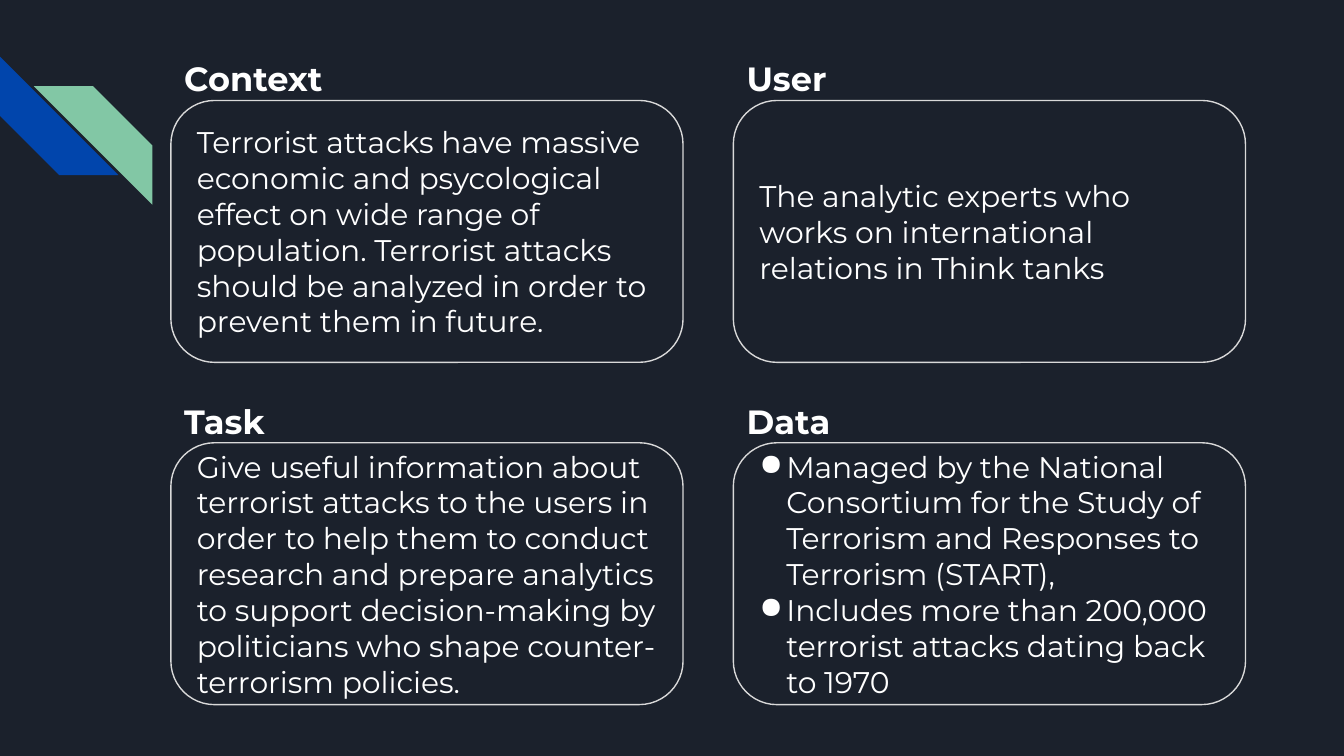
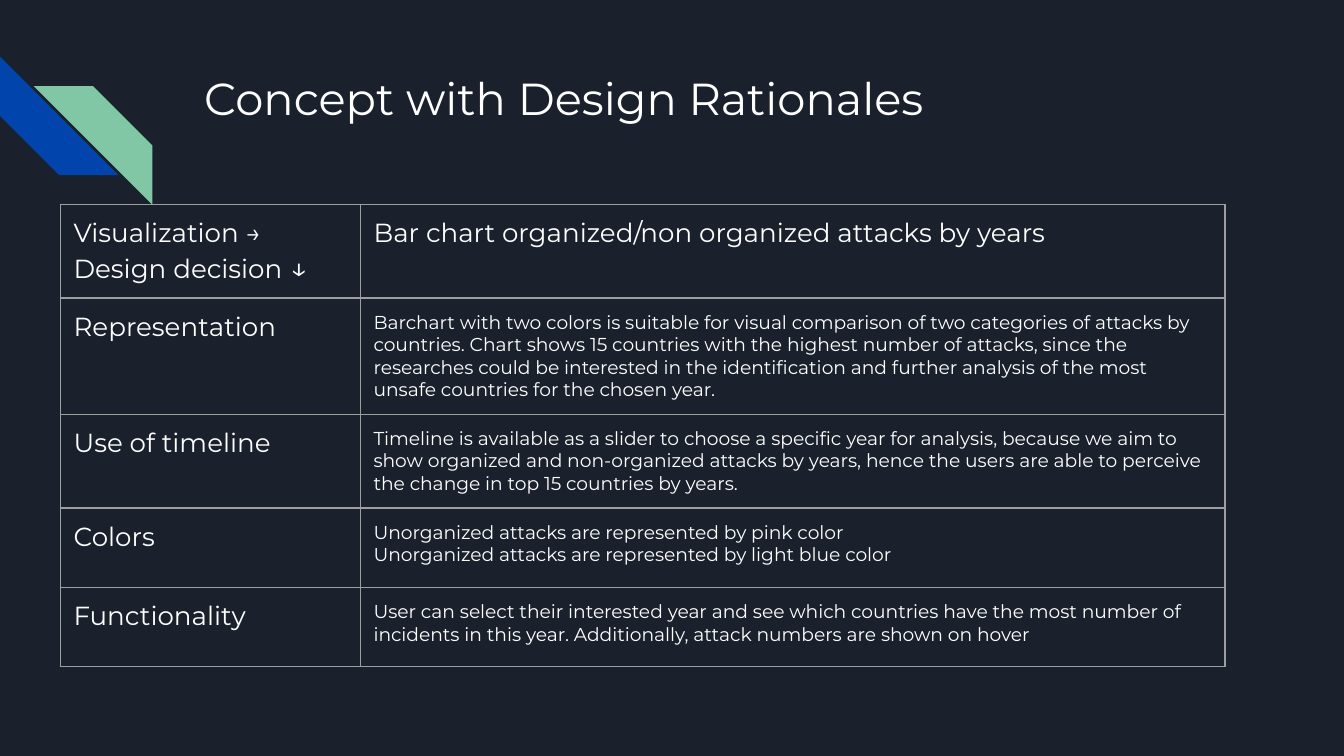
import pptx
import pptx.dml.color
import pptx.enum.shapes
import pptx.enum.text
import pptx.oxml
import pptx.oxml.ns
import pptx.util
from pptx.util import Cm

FONT = "Montserrat"
BACKGROUND, WHITE = "1B212C", "FFFFFF"
BLUE, GREEN = "0145AC", "82C7A5"
CARD_LINE, TABLE_LINE = "D9D9D9", "9E9E9E"
INSET = 0.25

CARD_LEFT, CARD_TOP = 3.23, 0.91
CARD_WIDTH, CARD_HEIGHT, HEADING_HEIGHT = 9.68, 4.95, 0.99
COLUMN_STEP, ROW_STEP = 10.63, 6.47

CARDS = [
    ("Context", ["Terrorist attacks have massive economic and psycological effect on wide range "
                 "of population. Terrorist attacks should be analyzed in order to prevent them "
                 "in future."]),
    ("User", ["The analytic experts who works on international relations in Think tanks"]),
    ("Task", ["Give useful information about terrorist attacks to the users in order to help "
              "them to conduct research and prepare analytics to support decision-making by "
              "politicians who shape counter-terrorism policies."]),
    ("Data", ["Managed by the National Consortium for the Study of Terrorism and Responses to "
              "Terrorism (START),",
              "Includes more than 200,000 terrorist attacks dating back to 1970"]),
]

COLUMN_WIDTHS = [5.67, 16.34]
ROW_HEIGHTS = [1.57, 1.5, 1.5, 1.5, 1.5]
RATIONALES = [
    ("Visualization →\nDesign decision ", "Bar chart organized/non organized attacks by years"),
    ("Representation",
     "Barchart with two colors is suitable for visual comparison of two categories of attacks "
     "by countries. Chart shows 15 countries with the highest number of attacks, since the "
     "researches could be interested in the identification and further analysis of the most "
     "unsafe countries for the chosen year."),
    ("Use of timeline",
     "Timeline is available as a slider to choose a specific year for analysis, because we aim "
     "to show organized and non-organized attacks by years, hence the users are able to "
     "perceive the change in top 15 countries by years."),
    ("Colors",
     "Unorganized attacks are represented by pink color\n"
     "Unorganized attacks are represented by light blue color"),
    ("Functionality",
     "User can select their interested year and see which countries have the most number of "
     "incidents in this year. Additionally, attack numbers are shown on hover"),
]


def color(value):
    """Turn a hex string into a color."""
    return pptx.dml.color.RGBColor.from_string(value)


def style_span(span, size, bold=False):
    """Give a run the deck's font in white."""
    span.font.name = FONT
    span.font.size = pptx.util.Pt(size)
    span.font.bold = bold
    span.font.color.rgb = color(WHITE)


def write(frame, text, size, bold=False):
    """Fill a text frame with left-aligned text, one paragraph per line."""
    frame.text = text
    for para in frame.paragraphs:
        para.alignment = pptx.enum.text.PP_ALIGN.LEFT
        for span in para.runs:
            style_span(span, size, bold)


def set_insets(holder):
    """Set equal margins on a text frame or a table cell."""
    holder.margin_left = holder.margin_right = Cm(INSET)
    holder.margin_top = holder.margin_bottom = Cm(INSET)


def add_bullet(para):
    """Put a round white bullet with a hanging indent on a paragraph."""
    properties = para._p.get_or_add_pPr()
    properties.set("marL", str(Cm(0.51)))
    properties.set("indent", str(-Cm(0.56)))
    namespace = pptx.oxml.ns.nsdecls("a")
    properties.append(pptx.oxml.parse_xml(
        f'<a:buClr {namespace}><a:srgbClr val="{WHITE}"/></a:buClr>'))
    properties.append(pptx.oxml.parse_xml(f'<a:buChar {namespace} char="●"/>'))


def add_stripe(page, left, top, rotation, fill):
    """Draw one diagonal stripe of the corner ornament."""
    stripe = page.shapes.add_shape(pptx.enum.shapes.MSO_SHAPE.DIAGONAL_STRIPE,
                                   Cm(left), Cm(top), Cm(2.24), Cm(2.24))
    stripe.rotation = rotation
    stripe.shadow.inherit = False
    stripe.fill.solid()
    stripe.fill.fore_color.rgb = color(fill)
    stripe.line.fill.background()


def add_page(deck):
    """Add a dark page with the corner ornament."""
    page = deck.slides.add_slide(deck.slide_layouts[6])
    page.background.fill.solid()
    page.background.fill.fore_color.rgb = color(BACKGROUND)
    add_stripe(page, 0, 1.07, 270, BLUE)
    add_stripe(page, 0.64, 1.63, 90, GREEN)
    return page


def add_text(page, left, top, width, height, text, size, bold=False):
    """Add a wrapped text box and return it."""
    box = page.shapes.add_textbox(Cm(left), Cm(top), Cm(width), Cm(height))
    box.text_frame.word_wrap = True
    set_insets(box.text_frame)
    write(box.text_frame, text, size, bold)
    return box


def add_card(page, left, top, heading, lines):
    """Add a heading and the outlined card below it."""
    title = add_text(page, left, top, CARD_WIDTH, HEADING_HEIGHT, heading, 18, bold=True)
    title.text_frame.paragraphs[0].line_spacing = 0.95
    title.text_frame.paragraphs[0].space_after = pptx.util.Pt(12)

    card = page.shapes.add_shape(pptx.enum.shapes.MSO_SHAPE.ROUNDED_RECTANGLE,
                                 Cm(left), Cm(top + HEADING_HEIGHT),
                                 Cm(CARD_WIDTH), Cm(CARD_HEIGHT))
    card.shadow.inherit = False
    card.fill.background()
    card.line.color.rgb = color(CARD_LINE)
    card.line.width = pptx.util.Pt(0.75)
    frame = card.text_frame
    frame.word_wrap = True
    frame.vertical_anchor = pptx.enum.text.MSO_ANCHOR.MIDDLE
    set_insets(frame)
    write(frame, "\n".join(lines), 16)
    if len(lines) > 1:
        for para in frame.paragraphs:
            add_bullet(para)


def add_borders(cell):
    """Draw thin gray lines on all four sides of a cell."""
    properties = cell._tc.get_or_add_tcPr()
    for index, side in enumerate(("lnL", "lnR", "lnT", "lnB")):
        properties.insert(index, pptx.oxml.parse_xml(
            f'<a:{side} {pptx.oxml.ns.nsdecls("a")} w="{pptx.util.Pt(0.75)}">'
            f'<a:solidFill><a:srgbClr val="{TABLE_LINE}"/></a:solidFill></a:{side}>'))


def add_rationale_table(page, left, top):
    """Add the table of design decisions."""
    table = page.shapes.add_table(len(RATIONALES), len(COLUMN_WIDTHS), Cm(left), Cm(top),
                                  Cm(sum(COLUMN_WIDTHS)), Cm(sum(ROW_HEIGHTS))).table
    table.first_row = table.horz_banding = False
    for column, width in zip(table.columns, COLUMN_WIDTHS):
        column.width = Cm(width)
    for row_index, (row, texts) in enumerate(zip(table.rows, RATIONALES)):
        row.height = Cm(ROW_HEIGHTS[row_index])
        for column_index, (cell, text) in enumerate(zip(row.cells, texts)):
            is_header = row_index == 0 or column_index == 0
            set_insets(cell)
            cell.fill.background()
            add_borders(cell)
            write(cell.text_frame, text, 14 if is_header else 10)
    down_arrow = table.cell(0, 0).text_frame.paragraphs[-1].add_run()
    down_arrow.text = "↓"
    style_span(down_arrow, 16)


def main():
    """Build both pages and save the deck."""
    deck = pptx.Presentation()
    deck.slide_width, deck.slide_height = Cm(25.4), Cm(14.29)

    overview = add_page(deck)
    for index, (heading, lines) in enumerate(CARDS):
        row, column = divmod(index, 2)
        add_card(overview, CARD_LEFT + column * COLUMN_STEP, CARD_TOP + row * ROW_STEP,
                 heading, lines)

    concept = add_page(deck)
    add_rationale_table(concept, 1.14, 3.86)
    add_text(concept, 3.61, 1.09, 19.56, 2.54, "Concept with Design Rationales", 24)

    deck.save("out.pptx")


if __name__ == "__main__":
    main()
